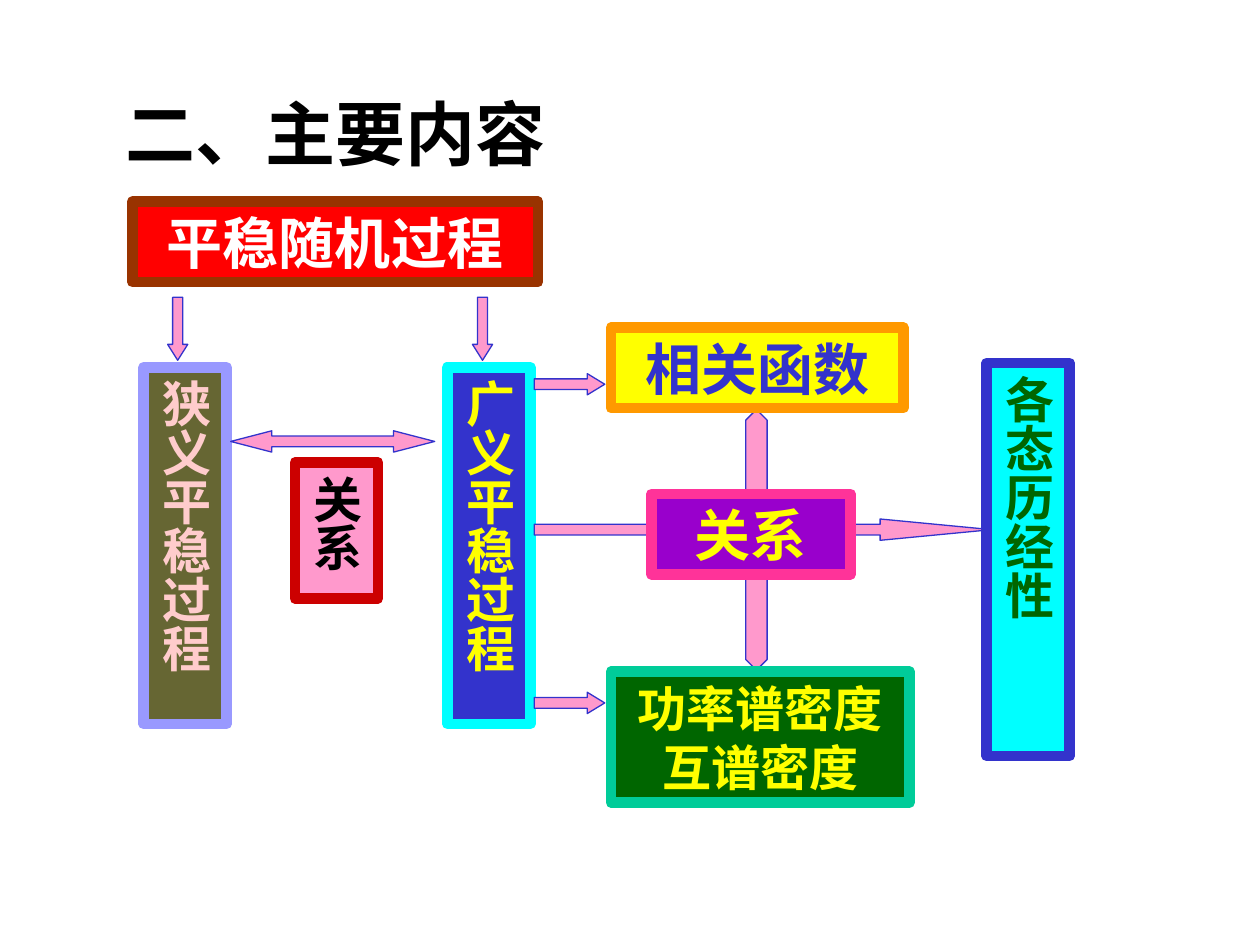
from pptx import Presentation
from pptx.dml.color import RGBColor
from pptx.enum import shapes, text
from pptx.oxml import ns
from pptx.util import Pt

COLORS = {
    "white": "FFFFFF", "black": "000000", "red": "FF0000", "brown": "993300",
    "pink": "FF99CC", "blue": "3333CC", "yellow": "FFFF00", "orange": "FF9900",
    "green": "006600", "teal": "00CC99", "olive": "666633", "lilac": "9999FF",
    "blush": "FFCCCC", "cyan": "00FFFF", "crimson": "CC0000",
    "purple": "9900CC", "magenta": "FF3399",
}
SANS, SERIF = "Noto Sans CJK SC", "Times New Roman"
KIND = shapes.MSO_SHAPE


def color(name):
    return RGBColor.from_string(COLORS[name])


def add_text(tf, lines, size, ink, font, align, spacing=None):
    p = tf.paragraphs[0]
    p.alignment = align
    if spacing:
        p.line_spacing = Pt(spacing)
    for i, line in enumerate(lines):
        if i:
            p.add_line_break()
        r = p.add_run()
        r.text = line
        r.font.size, r.font.bold, r.font.name = Pt(size), True, font
        r.font.color.rgb = color(ink)
        ea = r.font._element.makeelement(ns.qn("a:ea"), {"typeface": SANS})
        r.font._element.find(ns.qn("a:latin")).addnext(ea)


def add_shape(s, kind, box, fill, line, width):
    sp = s.shapes.add_shape(kind, *map(Pt, box))
    sp.shadow.inherit = False
    sp.fill.solid()
    sp.fill.fore_color.rgb = color(fill)
    sp.line.color.rgb = color(line)
    sp.line.width = Pt(width)
    return sp


def add_title(s, box, title):
    tf = s.shapes.add_textbox(*map(Pt, box)).text_frame
    tf.word_wrap = True
    tf.vertical_anchor = text.MSO_ANCHOR.MIDDLE
    add_text(tf, [title], 40, "black", SERIF, text.PP_ALIGN.LEFT)


def add_block(s, box, lines, size, fill, line, ink, font=SANS, vertical=False):
    tf = add_shape(s, KIND.RECTANGLE, box, fill, line, 6).text_frame
    tf.word_wrap = True
    tf.vertical_anchor = text.MSO_ANCHOR.MIDDLE
    if vertical:
        tf._txBody.bodyPr.set("vert", "eaVert")
        tf.margin_left = tf.margin_right = Pt(3.6)
        tf.margin_top = tf.margin_bottom = Pt(7.2)
    add_text(tf, lines, size, ink, font, text.PP_ALIGN.CENTER, 1.2 * size)


def add_arrow(s, kind, box, head):
    sp = add_shape(s, kind, box, "pink", "blue", 0.75)
    sp.adjustments[0], sp.adjustments[1] = 0.5, head


def add_process_side(s, x, y):
    """The process, its two kinds and how they relate."""
    add_block(s, (x, y, 231.8, 46.1), ["平稳随机过程"], 32, "red", "brown", "white")
    for dx in (20.2, 194.4):
        add_arrow(s, KIND.DOWN_ARROW, (x + dx, y + 54.7, 11.5, 36), 0.79)
    for dx, name, fill, line, ink in (
            (6.5, "狭义平稳过程", "olive", "lilac", "blush"),
            (180, "广义平稳过程", "blue", "cyan", "yellow")):
        add_block(s, (x + dx, y + 94.7, 47.5, 203.8), [name], 28, fill, line, ink,
                  vertical=True)
    add_block(s, (x + 92.9, y + 149, 47.5, 77.8), ["关系"], 28,
              "pink", "crimson", "black", SERIF, True)
    add_arrow(s, KIND.LEFT_RIGHT_ARROW, (x + 56.2, y + 131, 116.6, 12.2), 1.93)


def add_property_side(s, x, y):
    """What the wide-sense process leads to."""
    for dy, length, head in ((26.3, 40.3, 0.82), (109.4, 261.4, 5.23), (208.4, 40.3, 0.82)):
        add_arrow(s, KIND.RIGHT_ARROW, (x, y + dy, length, 12.2), head)
    add_arrow(s, KIND.UP_DOWN_ARROW, (x + 120.9, y + 46.8, 12.2, 149), 2.47)
    add_block(s, (x + 43.9, y, 167, 46.1), ["相关函数"], 32,
              "yellow", "orange", "blue", SERIF)
    add_block(s, (x + 66.9, y + 95, 113.8, 46.1), ["关系"], 32,
              "purple", "magenta", "yellow", SERIF)
    add_block(s, (x + 43.9, y + 196.6, 170.6, 74.9), ["功率谱密度", "互谱密度"], 28,
              "green", "teal", "yellow")
    add_block(s, (x + 258.5, y + 20.2, 47.5, 224.6), ["各态历经性"], 28,
              "cyan", "blue", "green", vertical=True)


def main():
    prs = Presentation()
    prs.slide_width, prs.slide_height = Pt(720), Pt(540)
    s = prs.slides.add_slide(prs.slide_layouts[6])
    add_title(s, (64.8, 48.2, 612, 55.4), "二、主要内容")
    add_process_side(s, 75.6, 115.2)
    add_property_side(s, 305.3, 187.2)
    prs.save("out.pptx")


if __name__ == "__main__":
    main()
